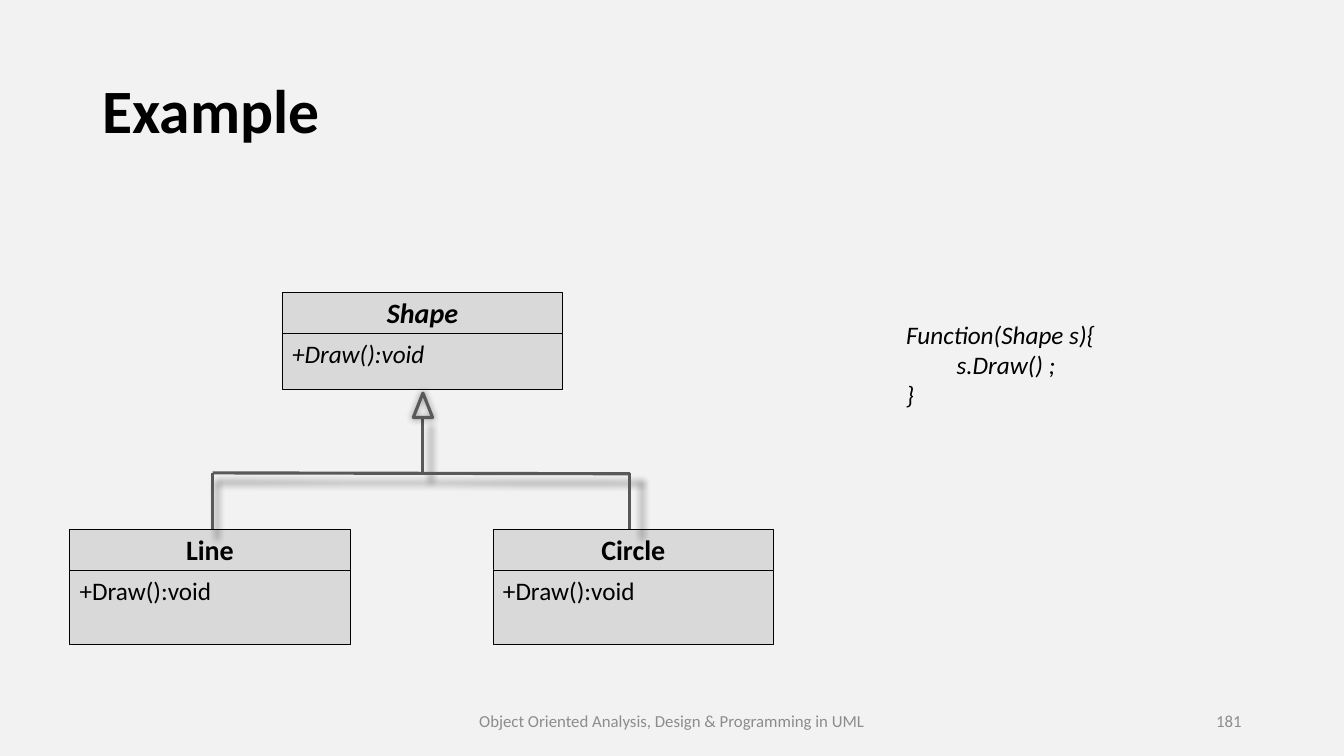
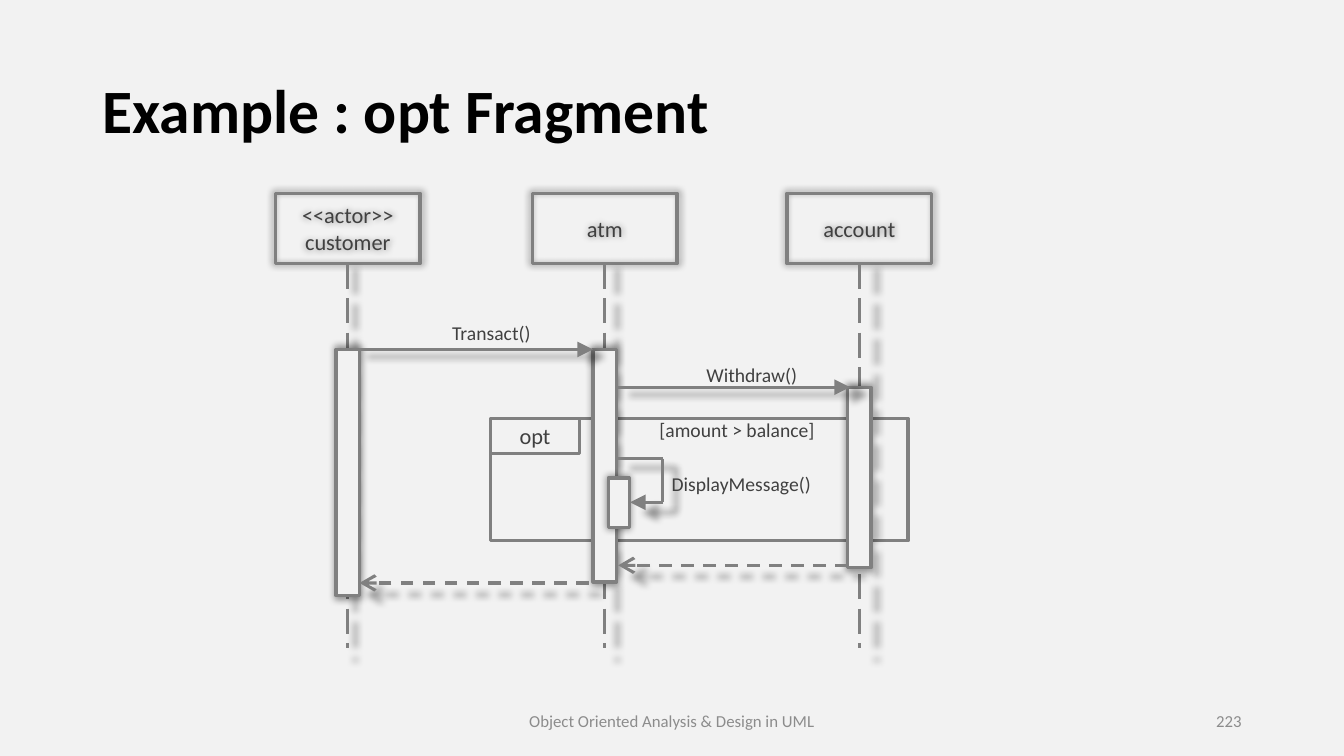
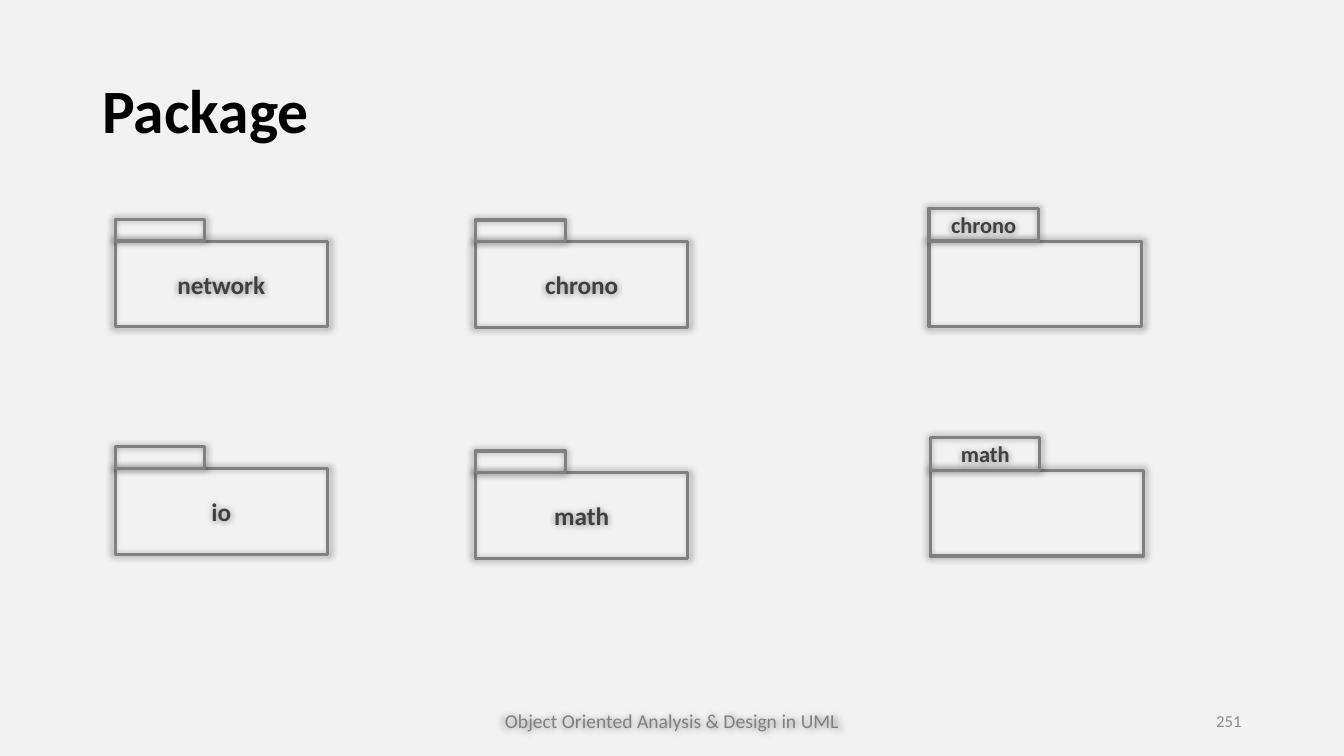
import dataclasses
from typing import NamedTuple, Optional

import pptx
import pptx.dml.color
import pptx.enum.dml
import pptx.enum.shapes
import pptx.enum.text
import pptx.oxml.ns
import pptx.util
from lxml import etree

RGBColor = pptx.dml.color.RGBColor
Align = pptx.enum.text.PP_ALIGN
Anchor = pptx.enum.text.MSO_ANCHOR
Dash = pptx.enum.dml.MSO_LINE
Preset = pptx.enum.shapes.MSO_SHAPE
Pt = pptx.util.Pt
qn = pptx.oxml.ns.qn

PAPER = RGBColor(0xF2, 0xF2, 0xF2)
BLACK = RGBColor(0x00, 0x00, 0x00)
CLASS_FILL = RGBColor(0xD9, 0xD9, 0xD9)
INHERITANCE = RGBColor(0x59, 0x59, 0x59)
OUTLINE = RGBColor(0x80, 0x80, 0x80)
LABEL = RGBColor(0x40, 0x40, 0x40)
FOOTER = RGBColor(0x8C, 0x8C, 0x8C)
FONT = "Calibri"
THIN, THICK = 0.5, 2.25

# The slide is a grid of square cells, twelve to the inch.
COLUMNS, ROWS = 160, 90
CELL = pptx.util.Inches(1) / 12


class Point(NamedTuple):
    x: float
    y: float


class Box(NamedTuple):
    left: float
    top: float
    width: float
    height: float


@dataclasses.dataclass(frozen=True)
class Style:
    size: float
    color: RGBColor = LABEL
    bold: bool = False
    italic: bool = False
    align: Align = Align.CENTER
    anchor: Anchor = Anchor.MIDDLE


@dataclasses.dataclass(frozen=True)
class ClassBox:
    left: float
    top: float
    name: str
    body_height: float
    abstract: bool = False


@dataclasses.dataclass(frozen=True)
class Lifeline:
    left: float
    name: str
    bar_top: float
    bar_height: float


@dataclasses.dataclass(frozen=True)
class Message:
    start: Point
    end: Point
    head: Optional[str] = None
    dash: Optional[Dash] = None


@dataclasses.dataclass(frozen=True)
class Folder:
    left: float
    top: float
    name: str
    name_on_tab: bool = False


TITLE_BOX = Box(11, 4.8, 138, 17.4)
FOOTER_BOX = Box(53, 83.4, 54, 4.8)
NUMBER_BOX = Box(113, 83.4, 36, 4.8)

TITLE = Style(44, BLACK, bold=True, align=Align.LEFT)
FOOTER_TEXT = Style(12, FOOTER)
NUMBER = Style(12, FOOTER, align=Align.RIGHT)
CODE = Style(18, BLACK, italic=True, align=Align.LEFT, anchor=Anchor.TOP)
PARTICIPANT = Style(16)
MESSAGE_LABEL = Style(14, anchor=Anchor.TOP)

CLASS_WIDTH, CLASS_HEADER = 33.4, 4.85
CLASSES = [
    ClassBox(33.6, 34.8, "Shape", 6.7, abstract=True),
    ClassBox(8.3, 63, "Line", 8.9),
    ClassBox(58.7, 63, "Circle", 8.9),
]
INHERITANCE_LINES = [
    Message(Point(50.3, 56.4), Point(50.3, 49.6)),
    Message(Point(25.3, 63), Point(25.3, 56.3)),
    Message(Point(25.3, 56.3), Point(75, 56.4)),
    Message(Point(74.9, 63), Point(74.9, 56.3)),
]

HEAD_TOP, HEAD_WIDTH, HEAD_HEIGHT = 23, 17.2, 8.4
LIFELINE_END, BAR_WIDTH = 77.1, 2.8
LIFELINES = [
    Lifeline(32.8, "<<actor>>\ncustomer", 41.6, 29.3),
    Lifeline(63.4, "atm", 41.6, 27.7),
    Lifeline(93.7, "account", 46.1, 21.5),
]
MESSAGES = [
    Message(Point(42.8, 41.6), Point(70.6, 41.6), "triangle"),
    Message(Point(73.4, 46.1), Point(101.2, 46.1), "triangle"),
    Message(Point(73.6, 54.6), Point(78.9, 54.6)),
    Message(Point(78.9, 54.6), Point(78.9, 59.8)),
    Message(Point(78.9, 59.8), Point(75, 59.8), "triangle"),
    Message(Point(100.9, 67.3), Point(73.6, 67.3), "arrow", Dash.DASH),
    Message(Point(70.1, 69.4), Point(42.8, 69.4), "arrow", Dash.DASH),
]
MESSAGE_LABELS = [
    ("[amount > balance]", Box(74.3, 49.2, 26.9, 3.2)),
    ("Transact()", Box(46.8, 37.6, 23.4, 4.1)),
    ("Withdraw()", Box(80.5, 42.6, 18, 4.1)),
    ("DisplayMessage()", Box(76.9, 55.6, 22.7, 4.1)),
]

FOLDER_WIDTH, FOLDER_HEIGHT = 25.3, 10.2
FOLDERS = [
    Folder(13.7, 28.7, "network"),
    Folder(56.6, 28.8, "chrono"),
    Folder(13.7, 55.8, "io"),
    Folder(56.6, 56.3, "math"),
    Folder(110.6, 28.7, "chrono", name_on_tab=True),
    Folder(110.8, 56, "math", name_on_tab=True),
]


def cells(*counts: float) -> list[int]:
    """Turn counts of grid cells into slide lengths."""
    return [round(count * CELL) for count in counts]


def set_shadow(shape, visible: bool = True) -> None:
    """Give the shape a soft shadow spread from its centre, or none."""
    properties = shape._element.spPr
    effects = properties.find(qn("a:effectLst"))
    if effects is None:
        effects = etree.SubElement(properties, qn("a:effectLst"))
    if visible:
        shadow = etree.SubElement(effects, qn("a:outerShdw"), blurRad="63500",
                                  sx="102000", sy="102000", algn="ctr", rotWithShape="0")
        color = etree.SubElement(shadow, qn("a:prstClr"), val="black")
        etree.SubElement(color, qn("a:alpha"), val="40000")


def write(shape, text: str, style: Style) -> None:
    frame = shape.text_frame
    frame.word_wrap = True
    frame.vertical_anchor = style.anchor
    frame.text = text
    for para in frame.paragraphs:
        para.alignment = style.align
        for span in para.runs:
            span.font.name = FONT
            span.font.size = Pt(style.size)
            span.font.color.rgb = style.color
            span.font.bold = style.bold
            span.font.italic = style.italic


def add_text(page, box: Box, text: str, style: Style):
    shape = page.shapes.add_textbox(*cells(*box))
    write(shape, text, style)
    return shape


def add_figure(page, box: Box, line: RGBColor = OUTLINE, weight: float = THICK,
               fill: Optional[RGBColor] = None, shadow: bool = True,
               preset: Preset = Preset.RECTANGLE):
    shape = page.shapes.add_shape(preset, *cells(*box))
    shape.shadow.inherit = False
    if fill is None:
        shape.fill.background()
    else:
        shape.fill.solid()
        shape.fill.fore_color.rgb = fill
    shape.line.color.rgb = line
    shape.line.width = Pt(weight)
    set_shadow(shape, shadow)
    return shape


def add_line(page, message: Message, color: RGBColor = OUTLINE) -> None:
    line = page.shapes.add_connector(pptx.enum.shapes.MSO_CONNECTOR.STRAIGHT,
                                     *cells(*message.start, *message.end))
    line.line.color.rgb = color
    line.line.width = Pt(THICK)
    if message.dash is not None:
        line.line.dash_style = message.dash
    if message.head:
        etree.SubElement(line.line._get_or_add_ln(), qn("a:tailEnd"),
                         type=message.head, w="lg", len="lg")
    set_shadow(line)


def add_page(deck, title: str, footer: str, number: str,
             footer_style: Style = FOOTER_TEXT, footer_shadow: bool = False):
    """Add a slide with the title, footer and number all slides share."""
    page = deck.slides.add_slide(deck.slide_layouts[6])
    heading = add_text(page, TITLE_BOX, title, TITLE)
    heading.text_frame.paragraphs[0].line_spacing = 0.9
    footer_box = add_text(page, FOOTER_BOX, footer, footer_style)
    set_shadow(footer_box, footer_shadow)
    add_text(page, NUMBER_BOX, number, NUMBER)
    return page


def add_class(page, item: ClassBox) -> None:
    header = Box(item.left, item.top, CLASS_WIDTH, CLASS_HEADER)
    body = Box(item.left, item.top + CLASS_HEADER, CLASS_WIDTH, item.body_height)
    name_style = Style(20, BLACK, bold=True, italic=item.abstract)
    method_style = dataclasses.replace(CODE, italic=item.abstract)
    for box, text, style in ((header, item.name, name_style),
                             (body, "+Draw():void", method_style)):
        shape = add_figure(page, box, BLACK, THIN, CLASS_FILL, shadow=False)
        write(shape, text, style)


def add_lifeline(page, item: Lifeline) -> None:
    center = item.left + HEAD_WIDTH / 2
    head = add_figure(page, Box(item.left, HEAD_TOP, HEAD_WIDTH, HEAD_HEIGHT))
    write(head, item.name, PARTICIPANT)
    add_line(page, Message(Point(center, HEAD_TOP + HEAD_HEIGHT),
                           Point(center, LIFELINE_END), dash=Dash.LONG_DASH))
    add_figure(page, Box(center - BAR_WIDTH / 2, item.bar_top, BAR_WIDTH, item.bar_height),
               fill=PAPER)


def add_folder(page, item: Folder) -> None:
    tab_width, tab_height = (13, 3.9) if item.name_on_tab else (10.7, 2.6)
    body = add_figure(page, Box(item.left, item.top, FOLDER_WIDTH, FOLDER_HEIGHT))
    tab = add_figure(page, Box(item.left, item.top - tab_height, tab_width, tab_height))
    if item.name_on_tab:
        write(tab, item.name, Style(16, bold=True))
    else:
        write(body, item.name, Style(18, bold=True))


def add_inheritance_slide(deck) -> None:
    page = add_page(deck, "Example",
                    "Object Oriented Analysis, Design & Programming in UML", "181")
    for item in CLASSES:
        add_class(page, item)
    for line in INHERITANCE_LINES:
        add_line(page, line, INHERITANCE)
    add_figure(page, Box(49.2, 46.8, 2.3, 2.9), INHERITANCE,
               preset=Preset.ISOSCELES_TRIANGLE)
    code = add_text(page, Box(106.7, 37.4, 25.4, 12.1),
                    "Function(Shape s){\n\ts.Draw() ;\n}", CODE)
    properties = code.text_frame.paragraphs[1]._p.get_or_add_pPr()
    tabs = etree.SubElement(properties, qn("a:tabLst"))
    etree.SubElement(tabs, qn("a:tab"), pos=str(cells(6)[0]), algn="l")


def add_fragment_slide(deck) -> None:
    page = add_page(deck, "Example : opt Fragment",
                    "Object Oriented Analysis & Design in UML", "223")
    fragment = Box(58.4, 49.8, 49.7, 14.6)
    add_figure(page, fragment, shadow=False)
    operator = add_figure(page, fragment._replace(width=10.6, height=4.2), shadow=False)
    write(operator, "opt", PARTICIPANT)
    for item in LIFELINES:
        add_lifeline(page, item)
    add_figure(page, Box(72.4, 56.9, 2.5, 5.9), fill=PAPER)
    for message in MESSAGES:
        add_line(page, message)
    for text, box in MESSAGE_LABELS:
        add_text(page, box, text, MESSAGE_LABEL)


def add_folder_slide(deck) -> None:
    page = add_page(deck, "Package", "Object Oriented Analysis & Design in UML", "251",
                    Style(14, OUTLINE), footer_shadow=True)
    for item in FOLDERS:
        add_folder(page, item)


def main() -> None:
    deck = pptx.Presentation()
    deck.slide_width, deck.slide_height = cells(COLUMNS, ROWS)
    background = deck.slide_master.background.fill
    background.solid()
    background.fore_color.rgb = PAPER
    add_inheritance_slide(deck)
    add_fragment_slide(deck)
    add_folder_slide(deck)
    deck.save("out.pptx")


if __name__ == "__main__":
    main()
